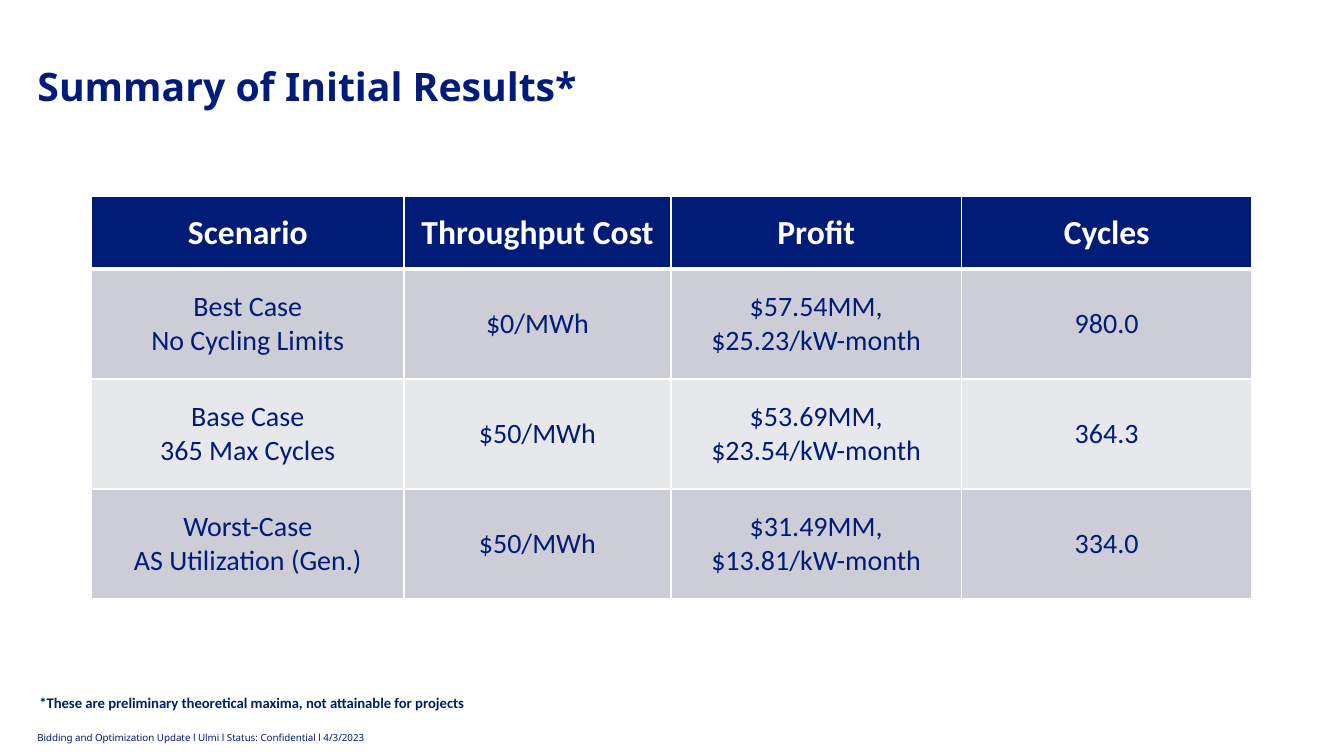
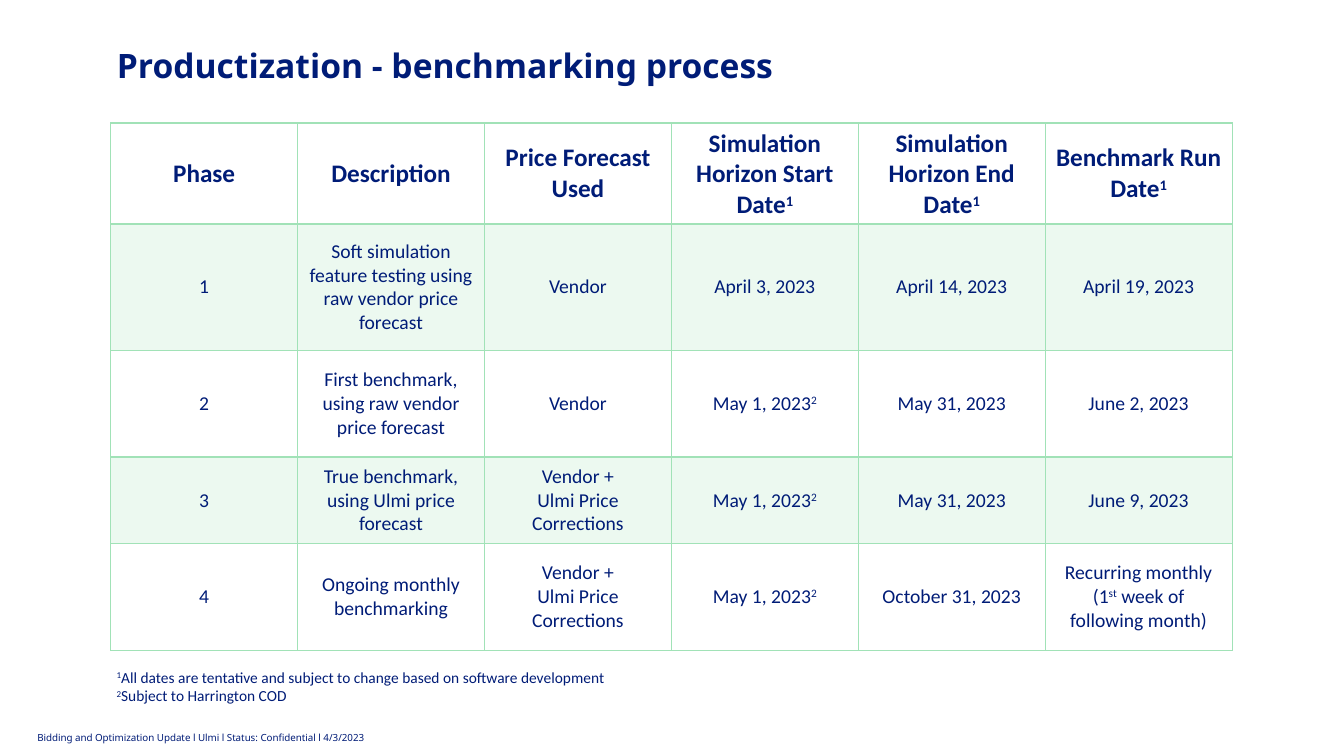
from dataclasses import dataclass
from lxml import etree
from pptx import Presentation
from pptx.dml.color import RGBColor
from pptx.enum import text as t
from pptx.oxml import ns
from pptx.util import Cm, Pt


@dataclass(frozen=True)
class Theme:
    navy: str = "001C77"
    ink: str = "002060"
    white: str = "FFFFFF"
    grey: str = "CCCDD6"
    pale: str = "E7E8EC"
    mint: str = "A1E2B7"
    head: str = "Noto Sans"
    body: str = "Calibri"
    foot: float = 7
    note: float = 11


look = Theme()
LEFT, MID = t.PP_ALIGN.LEFT, t.PP_ALIGN.CENTER


def write(frame, words, size, font=look.body, tint=look.navy, bold=False, align=LEFT):
    """Fill a frame, one paragraph a line; text between carets is superscript."""
    for row, line in enumerate(words.split("\n")):
        para = frame.add_paragraph() if row else frame.paragraphs[0]
        para.alignment = align
        for turn, piece in enumerate(line.split("^")):
            if not piece:
                continue
            run = para.add_run()
            run.text = piece
            run.font.name, run.font.size, run.font.bold = font, Pt(size), bold
            run.font.color.rgb = RGBColor.from_string(tint)
            if turn % 2:
                run._r.get_or_add_rPr().set("baseline", "30000")


def edge(cell, side, tint, width):
    """Draw one border (L, R, T or B) of a cell; call before setting its fill."""
    line = etree.SubElement(cell._tc.get_or_add_tcPr(), ns.qn(f"a:ln{side}"), w=str(Pt(width)))
    fill = etree.SubElement(line, ns.qn("a:solidFill"))
    etree.SubElement(fill, ns.qn("a:srgbClr"), val=tint)


pages = [
    dict(
        title="Summary of Initial Results*",
        spot=(0.69, 1.68, 18.44, 1.14), size=28,
        table=(2.31, 4.95),
        cols=[7.87, 6.73, 7.32, 7.32],
        rows=[1.83] + [2.77] * 3,
        pad=(0.33, 0.15),
        line=look.white, rule=3,
        top=look.navy, bands=[look.grey, look.pale], alpha=100,
        label=(24, look.white), text=20,
        cells=[
            ["Scenario", "Throughput Cost", "Profit", "Cycles"],
            ["Best Case\nNo Cycling Limits", "$0/MWh", "$57.54MM, $25.23/kW-month", "980.0"],
            ["Base Case\n365 Max Cycles", "$50/MWh", "$53.69MM,\n$23.54/kW-month", "364.3"],
            ["Worst-Case\nAS Utilization (Gen.)", "$50/MWh", "$31.49MM,\n$13.81/kW-month", "334.0"],
        ],
        note="*These are preliminary theoretical maxima, not attainable for projects",
        place=(0.33, 17.37, 12.04, 0.71),
        style=dict(size=10.5, tint=look.ink, bold=True, align=MID),
    ),
    dict(
        title="Productization - benchmarking process",
        spot=(2.69, 1.14, 28.27, 1.14), size=24,
        table=(2.79, 3.1),
        cols=[4.71] * 6,
        rows=[2.11, 3.18, 2.69, 2.18, 2.69],
        pad=(0.25, 0.13),
        line=look.mint, rule=2,
        top=None, bands=[look.mint, None], alpha=20,
        label=(18, look.navy), text=14,
        cells=[
            ["Phase", "Description", "Price Forecast Used", "Simulation Horizon Start Date^1",
             "Simulation Horizon End Date^1", "Benchmark Run Date^1"],
            ["1", "Soft simulation feature testing using raw vendor price forecast", "Vendor",
             "April 3, 2023", "April 14, 2023", "April 19, 2023"],
            ["2", "First benchmark, using raw vendor price forecast", "Vendor",
             "May 1, 2023^2", "May 31, 2023", "June 2, 2023"],
            ["3", "True benchmark, using Ulmi price forecast", "Vendor +\nUlmi Price Corrections",
             "May 1, 2023^2", "May 31, 2023", "June 9, 2023"],
            ["4", "Ongoing monthly benchmarking", "Vendor +\nUlmi Price Corrections",
             "May 1, 2023^2", "October 31, 2023",
             "Recurring monthly\n(1^st^ week of following month)"],
        ],
        note="^1^All dates are tentative and subject to change based on software development\n"
             "^2^Subject to Harrington COD",
        place=(2.69, 16.71, 17.75, 1.19),
        style=dict(size=look.note),
    ),
]

deck = Presentation()
deck.slide_width, deck.slide_height = Cm(33.87), Cm(19.05)

for page in pages:
    slide = deck.slides.add_slide(deck.slide_layouts[5])

    title = slide.shapes.title
    title.left, title.top, title.width, title.height = map(Cm, page["spot"])
    frame = title.text_frame
    frame.word_wrap = True
    frame.auto_size = t.MSO_AUTO_SIZE.NONE
    frame.vertical_anchor = t.MSO_ANCHOR.MIDDLE
    write(frame, page["title"], page["size"], look.head, bold=True)
    frame.paragraphs[0].line_spacing = 0.9

    foot = slide.shapes.add_textbox(Cm(0.69), Cm(18.31), Cm(8.76), Cm(0.56)).text_frame
    foot.word_wrap = False
    write(foot, "Bidding and Optimization Update l Ulmi l Status: Confidential l 4/3/2023",
          look.foot, look.head)

    cols, rows = page["cols"], page["rows"]
    grid = slide.shapes.add_table(len(rows), len(cols), *map(Cm, page["table"]),
                                  Cm(sum(cols)), Cm(sum(rows))).table
    grid.horz_banding = False
    for col, width in zip(grid.columns, cols):
        col.width = Cm(width)
    for r, (row, high) in enumerate(zip(grid.rows, rows)):
        row.height = Cm(high)
        fill = page["bands"][(r - 1) % 2] if r else page["top"]
        size, tint = (page["text"], look.navy) if r else page["label"]
        for cell, words in zip(row.cells, page["cells"][r]):
            cell.margin_left = cell.margin_right = Cm(page["pad"][0])
            cell.margin_top = cell.margin_bottom = Cm(page["pad"][1])
            cell.vertical_anchor = t.MSO_ANCHOR.MIDDLE
            for side in "LRTB":
                thick = (r, side) in [(0, "B"), (1, "T")]
                edge(cell, side, page["line"], page["rule"] if thick else 1)
            if fill:
                cell.fill.solid()
                cell.fill.fore_color.rgb = RGBColor.from_string(fill)
                if r and page["alpha"] < 100:
                    shade = cell._tc.tcPr.find(ns.qn("a:solidFill"))[0]
                    etree.SubElement(shade, ns.qn("a:alpha"), val=str(page["alpha"] * 1000))
            else:
                cell.fill.background()
            write(cell.text_frame, words, size, tint=tint, bold=r == 0, align=MID)

    note = slide.shapes.add_textbox(*map(Cm, page["place"])).text_frame
    note.word_wrap = True
    write(note, page["note"], **page["style"])

deck.save("out.pptx")
